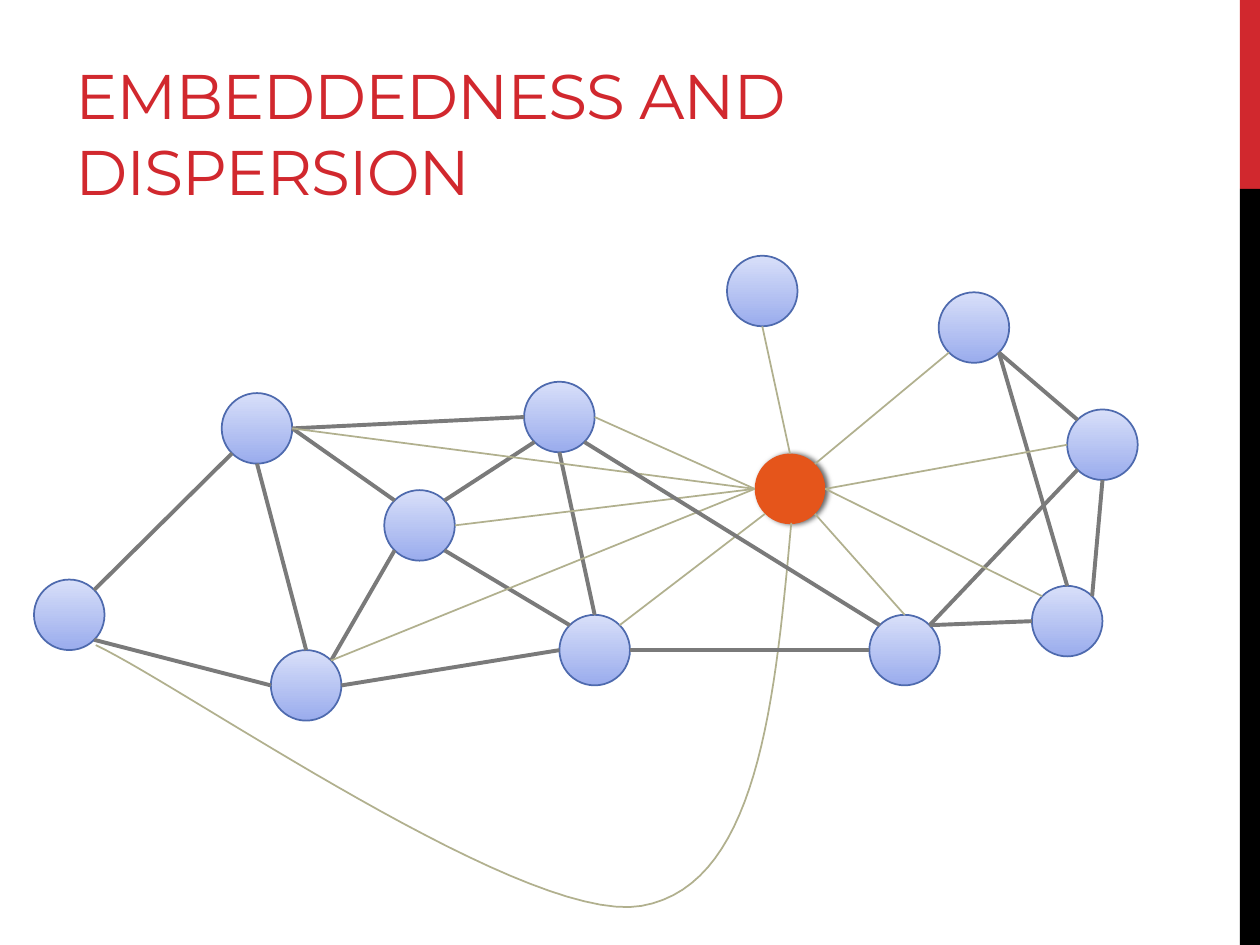
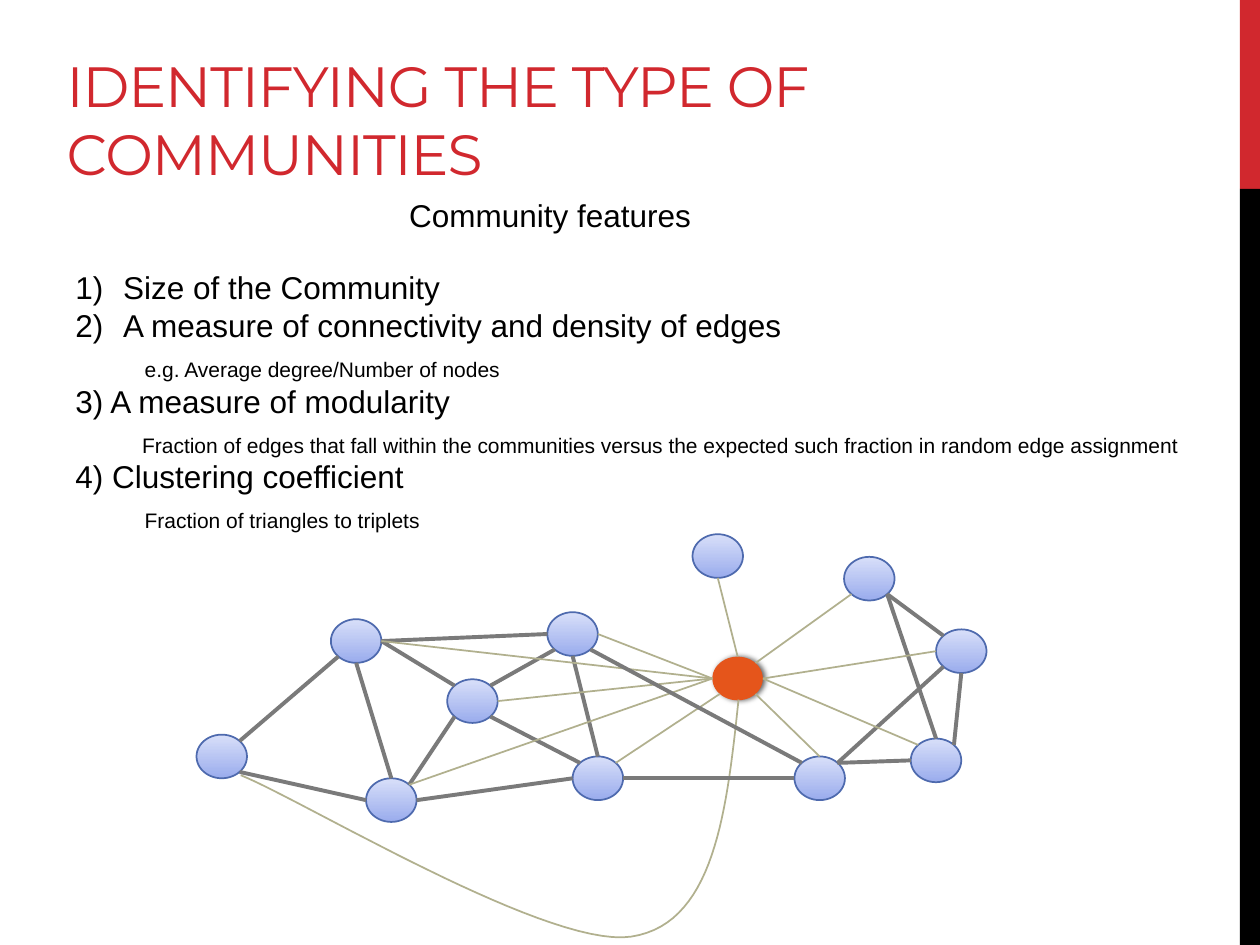
from dataclasses import dataclass
from math import cos, radians, sin

from lxml import etree
from pptx import Presentation
from pptx.dml.color import RGBColor
from pptx.enum.shapes import MSO_CONNECTOR, MSO_SHAPE
from pptx.enum.text import MSO_ANCHOR, PP_ALIGN
from pptx.oxml.ns import qn
from pptx.util import Inches, Pt

STRAIGHT = MSO_CONNECTOR.STRAIGHT
OVAL, RECTANGLE = MSO_SHAPE.OVAL, MSO_SHAPE.RECTANGLE
TOP, BOTTOM = MSO_ANCHOR.TOP, MSO_ANCHOR.BOTTOM
LEFT, CENTER = PP_ALIGN.LEFT, PP_ALIGN.CENTER

COLORS = {
    "accent": "D1282E",
    "black": "000000",
    "hub": "E5551B",
    "node_bottom": "9AACED",
    "node_top": "D8DFF9",
    "node_line": "4E6AAE",
    "strong": "7A7A7A",
    "weak": "B1B08E",
}
LINE_WIDTHS = {"strong": 2.25, "weak": 1}
TITLE_FORMAT = {"name": "Montserrat", "color": "accent"}
BODY_FORMAT = {"name": "Arial", "size": Pt(18), "color": "black"}
DETAIL_FORMAT = BODY_FORMAT | {"size": Pt(12)}
BODY_LINE = Pt(21.6)

# Connection sites of an ellipse, counter-clockwise from the top
N, NW, W, SW, S, SE, E, NE = range(8)
NODE_SIZE = 0.56

# Left and top of each node in the network's own coordinates
NODES = {
    "hub": (5.99, 3.6),
    "gate": (6.9, 4.88),
    "east": (8.47, 3.25),
    "northeast": (7.45, 2.32),
    "loner": (5.77, 2.03),
    "southeast": (8.19, 4.65),
    "north": (4.16, 3.03),
    "northwest": (1.76, 3.12),
    "west": (0.27, 4.6),
    "south": (4.44, 4.88),
    "southwest": (2.15, 5.16),
    "center": (3.05, 3.89),
}
# Bezier pieces of the long tie from the hub to the west node
LONG_TIE = [
    [(6.28, 4.15), (6.15, 5.59), (6.01, 7.03), (5.09, 7.19)],
    [(5.09, 7.19), (4.17, 7.35), (1.48, 5.46), (0.76, 5.12)],
]
CURVE_STEPS = 30


@dataclass(frozen=True)
class Box:
    left: float
    top: float
    width: float
    height: float

    def lengths(self) -> list:
        return [Inches(v) for v in (self.left, self.top, self.width, self.height)]


@dataclass(frozen=True)
class Link:
    start: str
    start_site: int
    end: str
    end_site: int
    kind: str = "strong"


@dataclass(frozen=True)
class Line:
    text: str
    format: dict
    indent: float = 0
    numbered: bool = False


NETWORK_BOX = Box(0.27, 2.03, 8.76, 5.17)

LINKS = [
    Link("northwest", SW, "west", NE),
    Link("northwest", S, "southwest", N),
    Link("southwest", W, "west", SE),
    Link("center", NW, "northwest", E),
    Link("center", SE, "south", NW),
    Link("center", SW, "southwest", NE),
    Link("center", NE, "north", SW),
    Link("north", S, "south", N),
    Link("north", W, "northwest", E),
    Link("south", W, "southwest", E),
    Link("east", S, "southeast", NE),
    Link("east", SW, "gate", NE),
    Link("southeast", W, "gate", NE),
    Link("northeast", SE, "east", NW),
    Link("northeast", SE, "southeast", N),
    Link("hub", N, "loner", S, "weak"),
    Link("hub", NE, "northeast", SW, "weak"),
    Link("hub", E, "east", W, "weak"),
    Link("hub", E, "southeast", NW, "weak"),
    Link("hub", SE, "gate", N, "weak"),
    Link("hub", SW, "south", NE, "weak"),
    Link("hub", W, "north", E, "weak"),
    Link("hub", W, "center", E, "weak"),
    Link("hub", W, "southwest", NE, "weak"),
    Link("hub", W, "northwest", E, "weak"),
    Link("gate", W, "south", E),
    Link("gate", NW, "north", SE),
]

FEATURES = [
    Line("Size of the Community", BODY_FORMAT, 0.38, True),
    Line("A measure of connectivity and density of edges", BODY_FORMAT, 0.38, True),
    Line("e.g. Average degree/Number of nodes", DETAIL_FORMAT, 0.55),
    Line("3) A measure of modularity", BODY_FORMAT),
    Line("Fraction of edges that fall within the communities versus the expected "
         "such fraction in random edge assignment", DETAIL_FORMAT, 0.53),
    Line("4) Clustering coefficient", BODY_FORMAT),
    Line("Fraction of triangles to triplets", DETAIL_FORMAT, 0.55),
]


def color(name: str) -> RGBColor:
    return RGBColor.from_string(COLORS[name])


def set_font(font, values: dict) -> None:
    for key, value in values.items():
        if key == "color":
            font.color.rgb = color(value)
        else:
            setattr(font, key, value)


def set_line(line, color_name: str, width: float) -> None:
    line.color.rgb = color(color_name)
    line.width = Pt(width)


def add_text(slide, box: Box, lines: list[Line], align=LEFT, anchor=TOP,
             spacing=None, bottom: float = 0.05):
    frame = slide.shapes.add_textbox(*box.lengths()).text_frame
    frame.word_wrap = True
    frame.vertical_anchor = anchor
    frame.margin_bottom = Inches(bottom)
    for index, line in enumerate(lines):
        paragraph = frame.paragraphs[0] if index == 0 else frame.add_paragraph()
        paragraph.alignment = align
        paragraph.line_spacing = spacing
        if line.indent:
            properties = paragraph._p.get_or_add_pPr()
            properties.set("marL", str(Inches(line.indent)))
            if line.numbered:
                properties.set("indent", str(-Inches(line.indent)))
                etree.SubElement(properties, qn("a:buAutoNum"), type="arabicParenR")
        set_font(paragraph.font, line.format)
        run = paragraph.add_run()
        run.text = line.text
        set_font(run.font, line.format)
    return frame


def add_base_slide(presentation, title: str, box: Box, size: float):
    slide = presentation.slides.add_slide(presentation.slide_layouts[6])
    # Side band
    for top, height, name in ((0, 1.5, "accent"), (1.5, 6, "black")):
        band = slide.shapes.add_shape(RECTANGLE, *Box(9.84, top, 0.16, height).lengths())
        band.shadow.inherit = False
        band.fill.solid()
        band.fill.fore_color.rgb = color(name)
        band.line.fill.background()
    # Title
    line = Line(title, TITLE_FORMAT | {"size": Pt(size)})
    frame = add_text(slide, box, [line], anchor=BOTTOM, bottom=0.02)
    frame.paragraphs[0].runs[0]._r.get_or_add_rPr().set("spc", "-60")
    return slide


def add_node(slide, name: str, box: Box):
    node = slide.shapes.add_shape(OVAL, *box.lengths())
    node.shadow.inherit = False
    if name == "hub":
        node.fill.solid()
        node.fill.fore_color.rgb = color("hub")
        node.line.fill.background()
        effects = node._element.spPr.find(qn("a:effectLst"))
        shadow = etree.SubElement(effects, qn("a:outerShdw"), blurRad=str(Pt(3)),
                                  dist=str(Pt(1.5)), dir="0")
        shade = etree.SubElement(shadow, qn("a:srgbClr"), val=COLORS["black"])
        etree.SubElement(shade, qn("a:alpha"), val="60000")
    else:
        node.fill.gradient()
        node.fill.gradient_angle = 90
        for stop, stop_color in zip(node.fill.gradient_stops, ("node_bottom", "node_top")):
            stop.color.rgb = color(stop_color)
        set_line(node.line, "node_line", 1)
    return node


def site_point(node, site: int) -> tuple[int, int]:
    angle = radians(90 + 45 * site)
    return (round(node.left + node.width / 2 * (1 + cos(angle))),
            round(node.top + node.height / 2 * (1 - sin(angle))))


def add_link(slide, nodes: dict, link: Link) -> None:
    start, end = nodes[link.start], nodes[link.end]
    connector = slide.shapes.add_connector(
        STRAIGHT, *site_point(start, link.start_site), *site_point(end, link.end_site))
    set_line(connector.line, link.kind, LINE_WIDTHS[link.kind])
    etree.SubElement(connector._element.spPr, qn("a:effectLst"))
    # Join both ends to the ellipses' eight sites
    joints = connector._element.nvCxnSpPr.cNvCxnSpPr
    for tag, node, site in (("a:stCxn", start, link.start_site),
                            ("a:endCxn", end, link.end_site)):
        etree.SubElement(joints, qn(tag), id=str(node.shape_id), idx=str(site))


def bezier(points: list, t: float) -> tuple[float, float]:
    weights = ((1 - t) ** 3, 3 * t * (1 - t) ** 2, 3 * t ** 2 * (1 - t), t ** 3)
    return (sum(w * x for w, (x, _) in zip(weights, points)),
            sum(w * y for w, (_, y) in zip(weights, points)))


def add_network(slide, box: Box) -> None:
    scale_x = box.width / NETWORK_BOX.width
    scale_y = box.height / NETWORK_BOX.height

    def place(x: float, y: float) -> tuple[float, float]:
        return (box.left + (x - NETWORK_BOX.left) * scale_x,
                box.top + (y - NETWORK_BOX.top) * scale_y)

    # Nodes
    nodes = {name: add_node(slide, name, Box(*place(*corner), NODE_SIZE * scale_x,
                                             NODE_SIZE * scale_y))
             for name, corner in NODES.items()}
    # Long curved tie
    points = [[Inches(v) for v in place(*bezier(piece, step / CURVE_STEPS))]
              for piece in LONG_TIE for step in range(CURVE_STEPS + 1)]
    builder = slide.shapes.build_freeform(*points[0])
    builder.add_line_segments(points[1:], close=False)
    curve = builder.convert_to_shape()
    curve.shadow.inherit = False
    curve.fill.background()
    set_line(curve.line, "weak", LINE_WIDTHS["weak"])
    # Links
    for link in LINKS:
        add_link(slide, nodes, link)


def main() -> None:
    presentation = Presentation()
    presentation.slide_width, presentation.slide_height = Inches(10), Inches(7.5)

    # Slide 1: the network at full size
    slide = add_base_slide(presentation, "EMBEDDEDNESS AND DISPERSION",
                           Box(0.5, 0.17, 6.33, 1.5), 36)
    add_network(slide, NETWORK_BOX)

    # Slide 2: community features above a smaller network
    slide = add_base_slide(presentation, "IDENTIFYING THE TYPE OF COMMUNITIES",
                           Box(0.43, 0, 6.33, 1.5), 32.4)
    add_text(slide, Box(2.22, 1.51, 4.29, 0.4), [Line("Community features", BODY_FORMAT)],
             align=CENTER, spacing=BODY_LINE)
    add_text(slide, Box(0.5, 2.08, 9, 2.22), FEATURES, spacing=BODY_LINE)
    add_network(slide, Box(1.56, 4.24, 6.27, 3.2))

    presentation.save("out.pptx")


if __name__ == "__main__":
    main()
